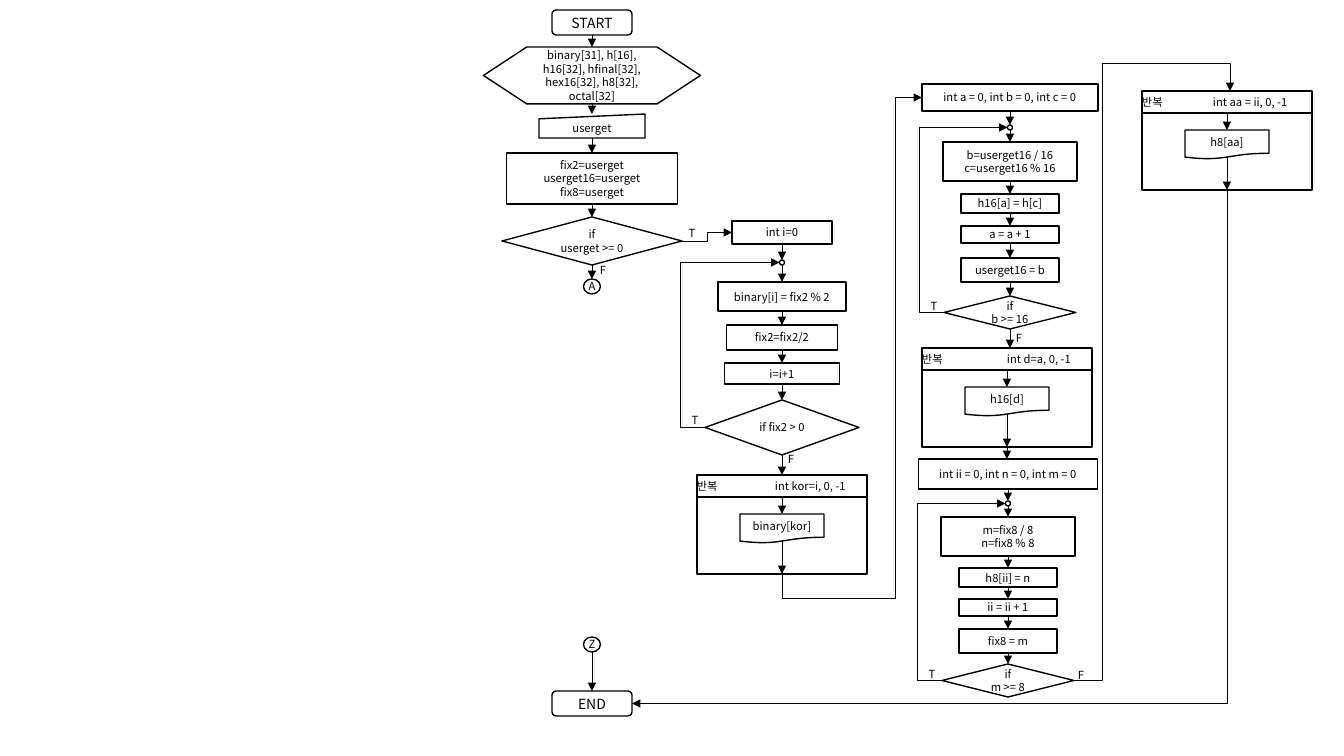
from dataclasses import dataclass

import lxml.etree
import pptx
import pptx.dml.color
import pptx.enum.shapes
import pptx.enum.text
import pptx.oxml.ns
import pptx.util

qn = pptx.oxml.ns.qn
Kind = pptx.enum.shapes.MSO_SHAPE
Align = pptx.enum.text.PP_ALIGN
Anchor = pptx.enum.text.MSO_ANCHOR
EMU_PER_PIXEL = 914400 / 100.8


@dataclass(frozen=True)
class Theme:
    font: str = "Noto Sans CJK KR"
    ink: pptx.dml.color.RGBColor = pptx.dml.color.RGBColor(0, 0, 0)
    paper: pptx.dml.color.RGBColor = pptx.dml.color.RGBColor(255, 255, 255)
    text_size: float = 8
    terminal_size: float = 10
    outline: float = 1
    flow_line: float = 0.5


THEME = Theme()


@dataclass(frozen=True)
class Box:
    left: float
    top: float
    width: float
    height: float

    @property
    def right(self):
        return self.left + self.width

    @property
    def bottom(self):
        return self.top + self.height

    @property
    def center(self):
        return self.left + self.width / 2

    @property
    def middle(self):
        return self.top + self.height / 2


def emu(pixels):
    return pptx.util.Emu(round(pixels * EMU_PER_PIXEL))


def write_text(shape, text, size=THEME.text_size, align=Align.CENTER, inset=True):
    frame = shape.text_frame
    frame.text = text
    frame.word_wrap = inset
    frame.vertical_anchor = Anchor.MIDDLE
    if not inset:
        frame.margin_left = frame.margin_right = 0
        frame.margin_top = frame.margin_bottom = 0
    for paragraph in frame.paragraphs:
        paragraph.alignment = align
        paragraph.font.name = THEME.font
        paragraph.font.size = pptx.util.Pt(size)
        paragraph.font.color.rgb = THEME.ink
    for properties in shape.element.iter(qn("a:defRPr")):
        lxml.etree.SubElement(properties, qn("a:ea"), typeface=THEME.font)


def add_label(slide, text, left, top, width, height, align=Align.CENTER):
    label = slide.shapes.add_textbox(emu(left), emu(top), emu(width), emu(height))
    write_text(label, text, align=align, inset=False)
    label.text_frame.word_wrap = True


def add_branch_label(slide, text, center, middle):
    add_label(slide, text, center - 6, middle - 8, 12, 16)


def add_node(slide, kind, text, box):
    shape = slide.shapes.add_shape(
        kind, emu(box.left), emu(box.top), emu(box.width), emu(box.height))
    shape.shadow.inherit = False
    shape.line.color.rgb = THEME.ink
    shape.line.width = pptx.util.Pt(THEME.outline)
    if kind == Kind.FLOWCHART_CONNECTOR and not text:
        shape.fill.solid()
        shape.fill.fore_color.rgb = THEME.paper
    else:
        shape.fill.background()
    if text:
        terminal = kind == Kind.FLOWCHART_ALTERNATE_PROCESS
        size = THEME.terminal_size if terminal else THEME.text_size
        write_text(shape, text, size, inset=kind != Kind.FLOWCHART_CONNECTOR)


def add_line(slide, points, width=THEME.flow_line, arrow=True):
    bent = len(points) > 2
    reverse = bent and points[0][0] == points[1][0]
    if reverse:
        points = points[::-1]
    (x1, y1), (x2, y2) = points[0], points[-1]
    style = pptx.enum.shapes.MSO_CONNECTOR
    connector = slide.shapes.add_connector(
        style.ELBOW if bent else style.STRAIGHT, emu(x1), emu(y1), emu(x2), emu(y2))
    connector.line.color.rgb = THEME.ink
    connector.line.width = pptx.util.Pt(width)
    properties = connector.element.spPr
    if bent:
        geometry = properties.find(qn("a:prstGeom"))
        geometry.set("prst", f"bentConnector{len(points) - 1}")
        ratios = [(points[1][0] - x1) / (x2 - x1), (points[2][1] - y1) / (y2 - y1)]
        for number, ratio in enumerate(ratios[:len(points) - 3], 1):
            lxml.etree.SubElement(geometry.find(qn("a:avLst")), qn("a:gd"),
                                  name=f"adj{number}", fmla=f"val {round(ratio * 100000)}")
    if arrow:
        end = "a:headEnd" if reverse else "a:tailEnd"
        lxml.etree.SubElement(properties.find(qn("a:ln")), qn(end), type="triangle")
    lxml.etree.SubElement(properties, qn("a:effectLst"))


def add_chain(slide, center, top, steps):
    boxes = []
    for kind, text, offset, width, height in steps:
        box = Box(center - width / 2, top + offset, width, height)
        add_node(slide, kind, text, box)
        if boxes:
            add_line(slide, [(center, boxes[-1].bottom), (center, box.top)])
        boxes.append(box)
    return boxes


def add_feedback(slide, decision, junction):
    lane = decision.left - 25
    add_line(slide, [(decision.left, decision.middle), (lane, decision.middle),
                     (lane, junction.middle), (junction.left, junction.middle)])
    add_branch_label(slide, "T", decision.left - 10, decision.middle - 7)


def add_input_region(slide, center, top):
    boxes = add_chain(slide, center, top, [
        (Kind.FLOWCHART_ALTERNATE_PROCESS, "START", 0, 80, 25),
        (Kind.FLOWCHART_PREPARATION,
         "binary[31], h[16], h16[32], hfinal[32], hex16[32], h8[32], octal[32]", 37, 217, 57),
        (Kind.FLOWCHART_MANUAL_INPUT, "userget", 104, 106, 24),
        (Kind.RECTANGLE, "fix2=userget\nuserget16=userget\nfix8=userget", 143, 171, 51),
        (Kind.FLOWCHART_DECISION, "if\nuserget >= 0", 207, 180, 48),
        (Kind.FLOWCHART_CONNECTOR, "A", 269, 17, 15)])
    decision = boxes[4]
    add_branch_label(slide, "T", decision.right + 10, decision.middle - 8)
    add_branch_label(slide, "F", center + 11, decision.bottom + 5)
    return decision


def add_binary_region(slide, center, top):
    boxes = add_chain(slide, center, top, [
        (Kind.RECTANGLE, "int i=0", 0, 100, 23),
        (Kind.FLOWCHART_CONNECTOR, "", 39, 5, 5),
        (Kind.RECTANGLE, "binary[i] = fix2 % 2", 61, 128, 29),
        (Kind.RECTANGLE, "fix2=fix2/2", 104, 111, 25),
        (Kind.RECTANGLE, "i=i+1", 142, 115, 21),
        (Kind.FLOWCHART_DECISION, "if fix2 > 0", 179, 154, 55)])
    add_feedback(slide, boxes[-1], boxes[1])
    add_branch_label(slide, "F", center + 9, boxes[-1].bottom + 4)
    return boxes[0], boxes[-1]


def add_division_region(slide, center, top, texts, offsets, first_size):
    process = Kind.FLOWCHART_PROCESS
    kinds = [process, Kind.FLOWCHART_CONNECTOR] + [process] * 4 + [Kind.FLOWCHART_DECISION]
    widths = [first_size[0], 5, 134, 98, 98, 98, 132]
    heights = [first_size[1], 5, 39, 19, 17, 24, 33]
    boxes = add_chain(slide, center, top, zip(kinds, texts, offsets, widths, heights))
    add_feedback(slide, boxes[-1], boxes[1])
    return boxes[0], boxes[-1]


def add_print_loop(slide, left, top, header, header_offset, output):
    frame = Box(left, top, 170, 99)
    divider = top + 22
    document = Box(left + 43, top + 39, 84, 29)
    add_node(slide, Kind.FLOWCHART_PROCESS, "", frame)
    add_node(slide, Kind.FLOWCHART_DOCUMENT, output, document)
    add_line(slide, [(left, divider), (frame.right, divider)], THEME.outline, arrow=False)
    add_label(slide, "반복", left, top, 30, 22, Align.LEFT)
    add_label(slide, header, left + header_offset, top, 90, 22, Align.LEFT)
    add_line(slide, [(frame.center, divider), (frame.center, document.top)])
    add_line(slide, [(frame.center, document.bottom - 2), (frame.center, frame.bottom)])
    return frame


def add_end_region(slide, center, top):
    return add_chain(slide, center, top, [
        (Kind.FLOWCHART_CONNECTOR, "Z", 0, 17, 15),
        (Kind.FLOWCHART_ALTERNATE_PROCESS, "END", 54, 80, 25)])[-1]


def add_flowchart(slide):
    sign_check = add_input_region(slide, 592, 10)
    binary_start, binary_check = add_binary_region(slide, 782, 221)
    binary_loop = add_print_loop(slide, 697, 475, "int kor=i, 0, -1", 78, "binary[kor]")
    hex_start, hex_check = add_division_region(
        slide, 1010, 84,
        ["int a = 0, int b = 0, int c = 0", "", "b=userget16 / 16\nc=userget16 % 16",
         "h16[a] = h[c]", "a = a + 1", "userget16 = b", "if\nb >= 16"],
        [0, 41, 58, 110, 142, 174, 212], (176, 27))
    hex_loop = add_print_loop(slide, 922, 348, "int d=a, 0, -1", 85, "h16[d]")
    octal_start, octal_check = add_division_region(
        slide, 1008, 459,
        ["int ii = 0, int n = 0, int m = 0", "", "m=fix8 / 8\nn=fix8 % 8",
         "h8[ii] = n", "ii = ii + 1", "fix8 = m", "if\nm >= 8"],
        [0, 42, 58, 109, 140, 170, 205], (179, 30))
    octal_loop = add_print_loop(slide, 1142, 91, "int aa = ii, 0, -1", 71, "h8[aa]")
    end = add_end_region(slide, 592, 637)

    for upper, lower in [(binary_check, binary_loop), (hex_check, hex_loop),
                         (hex_loop, octal_start)]:
        add_line(slide, [(upper.center, upper.bottom), (upper.center, lower.top)])
    add_branch_label(slide, "F", hex_check.center + 9, hex_check.bottom + 9)
    add_branch_label(slide, "F", octal_check.right + 7, octal_check.middle - 6)
    add_line(slide, [(sign_check.right, sign_check.middle), (707, sign_check.middle),
                     (707, binary_start.middle), (binary_start.left, binary_start.middle)])
    add_line(slide, [(binary_loop.center, binary_loop.bottom), (binary_loop.center, 599),
                     (895, 599), (895, hex_start.middle), (hex_start.left, hex_start.middle)])
    add_line(slide, [(octal_check.right, octal_check.middle), (1102, octal_check.middle),
                     (1102, 64), (1230, 64), (1230, octal_loop.top)])
    add_line(slide, [(octal_loop.center, octal_loop.bottom), (octal_loop.center, end.middle),
                     (end.right, end.middle)])


presentation = pptx.Presentation()
presentation.slide_width = emu(1344)
presentation.slide_height = emu(756)
add_flowchart(presentation.slides.add_slide(presentation.slide_layouts[6]))
presentation.save("out.pptx")
